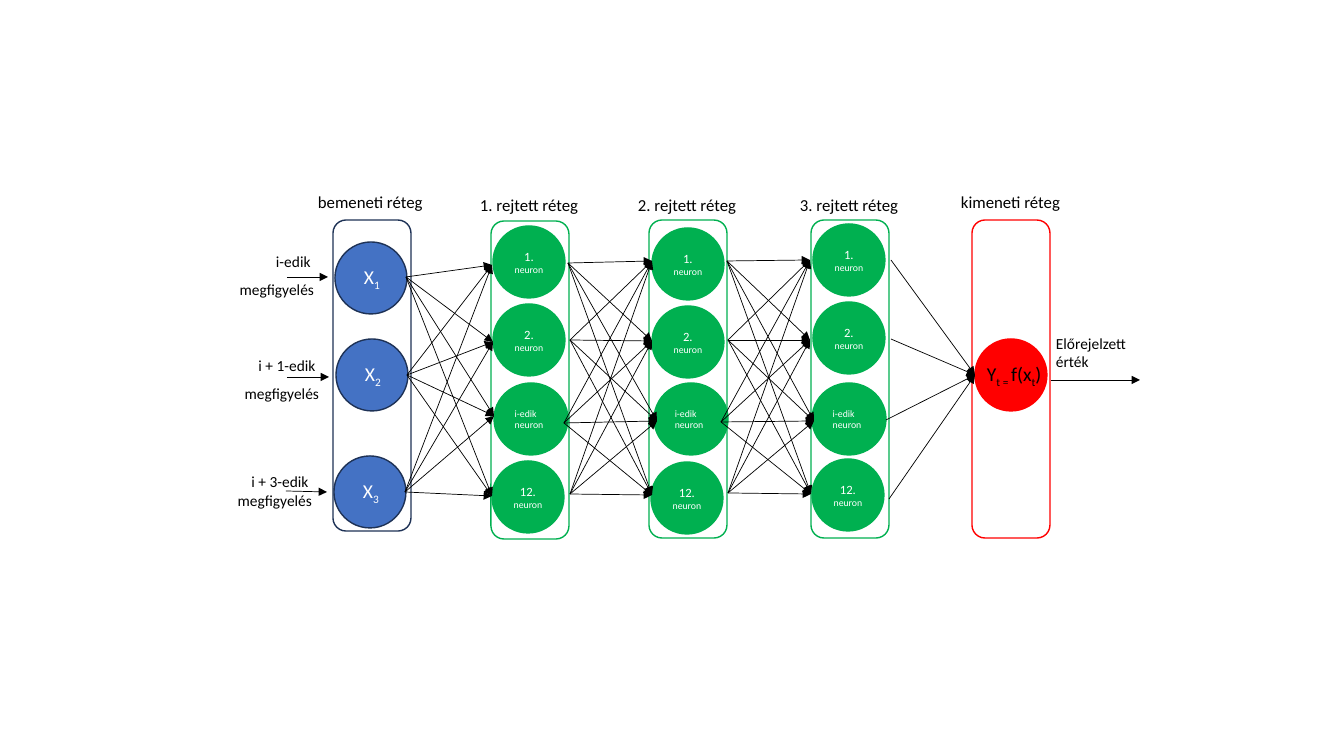
from itertools import product

from lxml import etree
from pptx import Presentation, util as u
from pptx.dml.color import RGBColor
from pptx.enum import shapes, text
from pptx.oxml.ns import qn

SCALE = 914400 / 100.8
FONT = "Calibri"
COLORS = {"green": "00B050", "blue": "4472C4", "navy": "1E3256",
          "red": "FF0000", "black": "000000", "white": "FFFFFF"}
LEFT, CENTER, RIGHT = (text.PP_ALIGN.LEFT, text.PP_ALIGN.CENTER, text.PP_ALIGN.RIGHT)

DIAMETER = 72
FRAMES = [(333, 220, 311, "navy"), (491, 221, 318, "green"), (649, 220, 318, "green"),
          (811, 220, 318, "green"), (972, 220, 318, "red")]
TITLES = [(308, 187, 126, "bemeneti réteg"), (470, 190, 120, "1. rejtett réteg"),
          (628, 190, 120, "2. rejtett réteg"), (790, 190, 120, "3. rejtett réteg"),
          (951, 187, 121, "kimeneti réteg")]
INPUTS = [(335, 242), (336, 339), (334, 456)]
HIDDEN = [[(493, 226), (493, 304), (494, 383), (492, 461)],
          [(652, 228), (652, 306), (654, 383), (651, 462)],
          [(813, 224), (813, 302), (812, 383), (812, 459)]]
LINKS = [
    ([(406, 277), (407, 375), (405, 492)],
     [(492, 265), (493, 342), (494, 416), (492, 496)]),
    ([(568, 263), (570, 340), (564, 423), (570, 494)],
     [(652, 261), (652, 341), (657, 421), (652, 495)]),
    ([(727, 261), (728, 340), (721, 422), (728, 493)],
     [(810, 260), (810, 340), (814, 421), (811, 494)]),
    ([(891, 260), (891, 339), (886, 420), (889, 499)], [(975, 375)]),
]
OBSERVATIONS = [(149, 247, "i-edik ", (1, 1.5), (287, 277, 328, 277)),
                (154, 342, "i + 1-edik ", (1.5, 1.5), (287, 377, 329, 377)),
                (147, 458, "i + 3-edik ", (1.5, 1), (286, 491, 327, 492))]
FORECAST_ARROW = (1051, 380, 1140, 380)


def px(*lengths):
    """Turn pixel lengths into EMU."""
    return [u.Emu(round(length * SCALE)) for length in lengths]


def color(name):
    """Look up a named colour."""
    return RGBColor.from_string(COLORS[name])


def write(box, paragraphs, size=12, ink="black", align=LEFT, spacing=(), wrap=True):
    """Fill a box with paragraphs of (text, size, baseline) spans."""
    frame = box.text_frame
    frame.word_wrap = wrap
    for index, spans in enumerate(paragraphs):
        para = frame.add_paragraph() if index else frame.paragraphs[0]
        para.alignment = align
        if spacing:
            para.line_spacing = float(spacing[index])
        for words, span_size, baseline in spans:
            span = para.add_run()
            span.text = words
            span.font.size = u.Pt(span_size or size)
            span.font.name = FONT
            span.font.color.rgb = color(ink)
            if baseline:
                span.font._element.set("baseline", str(baseline * 1000))


def plain(words, size=None, baseline=0):
    """Describe one span of text."""
    return words, size, baseline


def add_label(page, area, paragraphs, **style):
    """Add a text box."""
    write(page.shapes.add_textbox(*px(*area)), paragraphs, **style)


def add_outline(page, kind, area, line, fill=None):
    """Add a preset shape with a one-point outline."""
    shape = page.shapes.add_shape(kind, *px(*area))
    shape.shadow.inherit = False
    shape.line.color.rgb = color(line)
    shape.line.width = u.Pt(1)
    if fill:
        shape.fill.solid()
        shape.fill.fore_color.rgb = color(fill)
    else:
        shape.fill.background()
    return shape


def add_neuron(page, left, top, fill, line, width=DIAMETER):
    """Add one round neuron."""
    neuron = add_outline(page, shapes.MSO_SHAPE.OVAL,
                         (left, top, width, DIAMETER), line, fill)
    neuron.text_frame.vertical_anchor = text.MSO_ANCHOR.MIDDLE
    return neuron


def add_arrow(page, *ends):
    """Add a thin black arrow."""
    arrow = page.shapes.add_connector(shapes.MSO_CONNECTOR.STRAIGHT, *px(*ends))
    arrow.line.color.rgb = color("black")
    arrow.line.width = u.Pt(0.5)
    etree.SubElement(arrow.line._get_or_add_ln(), qn("a:tailEnd"), type="triangle")
    etree.SubElement(arrow._element.spPr, qn("a:effectLst"))


def add_hidden_layer(page, places):
    """Add the four neurons of a hidden layer."""
    for (left, top), name in zip(places, ("1. ", "2. ", "i-edik ", "12. ")):
        general = name == "i-edik "
        neuron = add_neuron(page, left, top, "green", "green", 74 if general else DIAMETER)
        write(neuron, [[plain(name, 7 if general else 9), plain("neuron", 7)]],
              ink="white", align=LEFT if general else CENTER)


def main():
    """Build the neural network slide."""
    deck = Presentation()
    deck.slide_width, deck.slide_height = px(1344, 756)
    page = deck.slides.add_slide(deck.slide_layouts[6])

    for left, top, height, line in FRAMES:
        add_outline(page, shapes.MSO_SHAPE.ROUNDED_RECTANGLE, (left, top, 78, height), line)
    for left, top, width, title in TITLES:
        add_label(page, (left, top, width, 30), [[plain(title)]], wrap=False)

    for number, (left, top) in enumerate(INPUTS, 1):
        add_neuron(page, left, top, "blue", "navy")
        add_label(page, (left + 8, top + 18, 58, 34),
                  [[plain("X"), plain(str(number), baseline=-25)]],
                  size=14, ink="white", align=CENTER)
    for places in HIDDEN:
        add_hidden_layer(page, places)
    add_neuron(page, 975, 339, "red", "red")

    for starts, ends in LINKS:
        for start, end in product(starts, ends):
            add_arrow(page, *start, *end)

    for left, top, name, spacing, arrow in OBSERVATIONS:
        add_arrow(page, *arrow)
        add_label(page, (left, top, 175, 56), [[plain(name)], [plain("megfigyelés")]],
                  size=11, align=RIGHT, spacing=spacing)

    add_label(page, (977, 357, 85, 34),
              [[plain("Y"), plain("t = ", baseline=-25), plain("f(x"),
                plain("t", baseline=-25), plain(")")]], size=14, wrap=False)
    add_arrow(page, *FORECAST_ARROW)
    add_label(page, (1046, 329, 157, 47), [[plain("Előrejelzett")], [plain("érték")]], size=11)
    deck.save("out.pptx")


if __name__ == "__main__":
    main()
